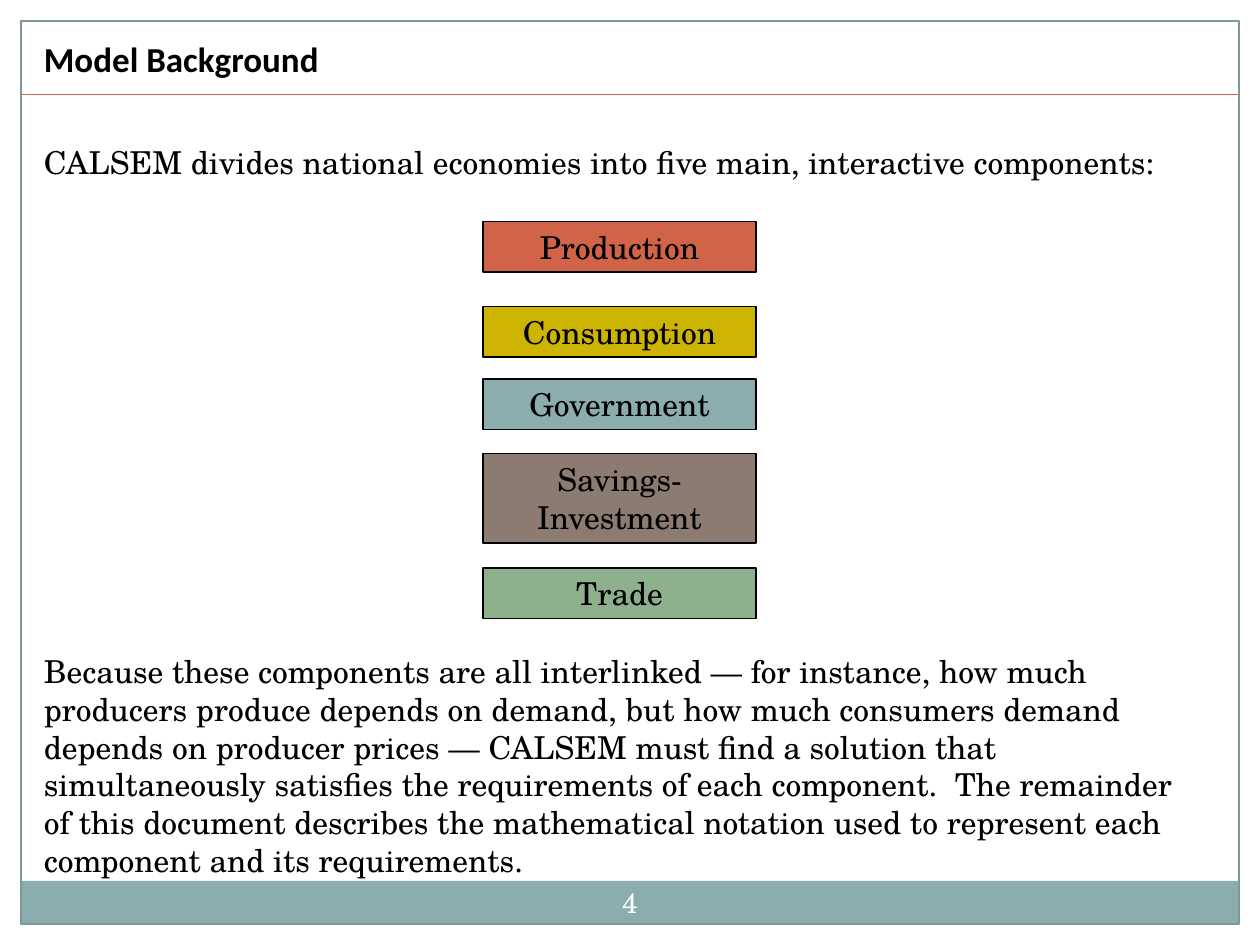
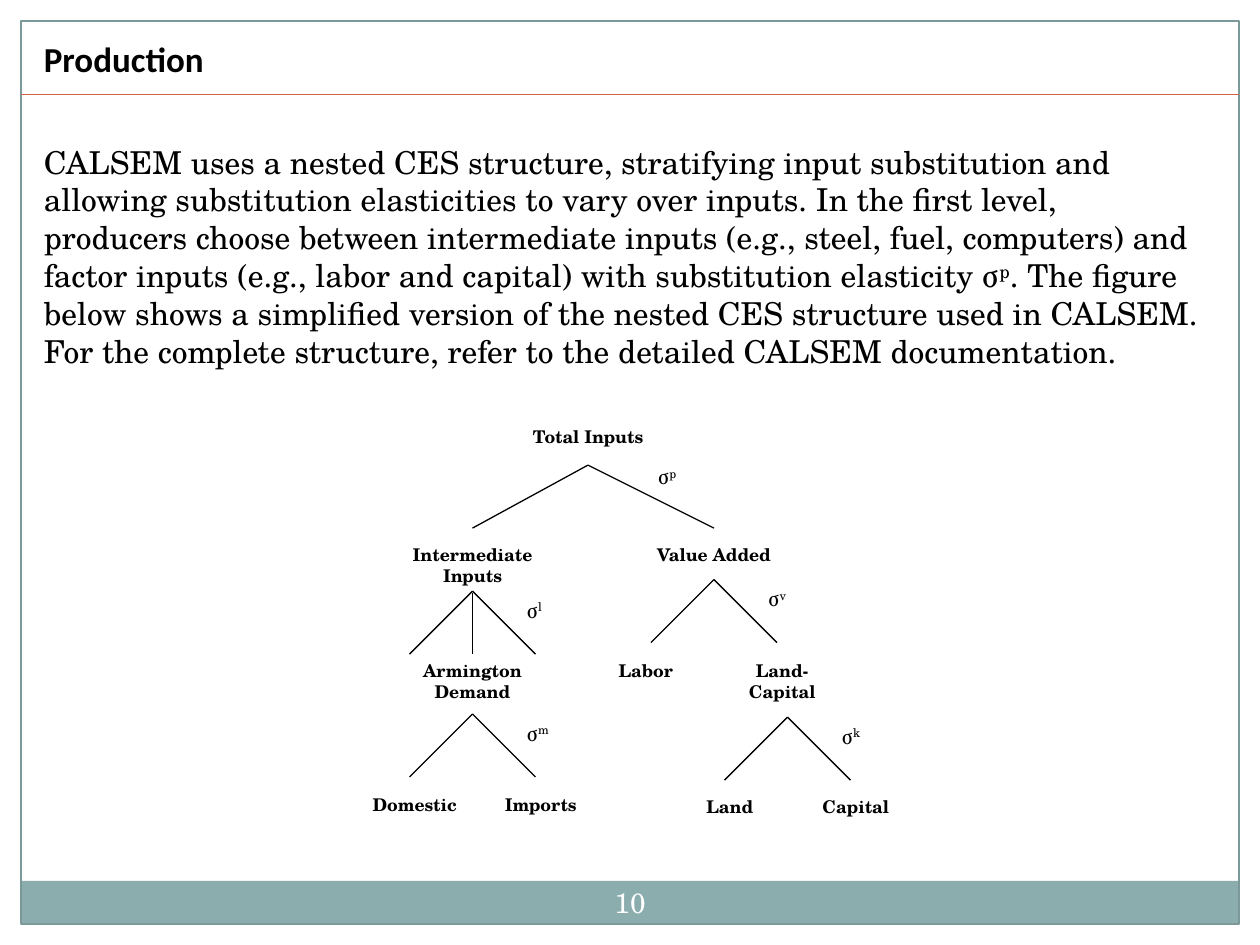
from pptx import Presentation, util as u
from pptx.dml.color import RGBColor
from pptx.enum import shapes, text
from pptx.oxml.ns import qn
from lxml import etree

BLACK = RGBColor(0x00, 0x00, 0x00)
WHITE = RGBColor(0xFF, 0xFF, 0xFF)
TEAL = RGBColor(0x8C, 0xAD, 0xAE)
EDGE = RGBColor(0x7C, 0x99, 0x9A)
RED = RGBColor(0xD1, 0x63, 0x49)
GOLD = RGBColor(0xCC, 0xB4, 0x00)
BROWN = RGBColor(0x8C, 0x7B, 0x70)
GREEN = RGBColor(0x8F, 0xB0, 0x8C)

SERIF = "TeX Gyre Schola"
HEAD = dict(name="Calibri", size=u.Pt(20), bold=True)
BODY = dict(name=SERIF, size=u.Pt(18))
NODE = dict(name=SERIF, size=u.Pt(10), bold=True)
SIGMA = dict(name=SERIF, size=u.Pt(12))
PAGE = dict(name=SERIF, size=u.Pt(16))
MID = text.PP_ALIGN.CENTER

INTRO = "CALSEM divides national economies into five main, interactive components:"
LINKS = (
    "Because these components are all interlinked — for instance, how much "
    "producers produce depends on demand, but how much consumers demand depends "
    "on producer prices — CALSEM must find a solution that simultaneously "
    "satisfies the requirements of each component.  The remainder of this "
    "document describes the mathematical notation used to represent each "
    "component and its requirements."
)
NEST = (
    "CALSEM uses a nested CES structure, stratifying input substitution and "
    "allowing substitution elasticities to vary over inputs. In the first level, "
    "producers choose between intermediate inputs (e.g., steel, fuel, computers) "
    "and factor inputs (e.g., labor and capital) with substitution elasticity "
    "σ^p^. The figure below shows a simplified version of the nested CES "
    "structure used in CALSEM. For the complete structure, refer to the detailed "
    "CALSEM documentation."
)
PARTS = [
    ("Production", RED, 21.1, 4.8),
    ("Consumption", GOLD, 29.2, 4.8),
    ("Government", TEAL, 36.1, 4.8),
    ("Savings-Investment", BROWN, 43.2, 8.5),
    ("Trade", GREEN, 54.1, 4.8),
]
NODES = [
    ("Total Inputs", 56, 40, 14, 3.2),
    ("Value Added", 68, 51.2, 14, 3.2),
    ("Intermediate Inputs", 45, 51.2, 14, 5.3),
    ("Labor", 61.5, 62.3, 9, 3.2),
    ("Land-Capital", 74.5, 62.3, 13, 5.3),
    ("Armington Demand", 45, 62.3, 14, 5.3),
    ("Land", 69.5, 75.2, 13, 3.2),
    ("Capital", 81.5, 75.2, 13, 3.2),
    ("Domestic", 39.5, 75, 13, 3.2),
    ("Imports", 51.5, 75, 13, 3.2),
]
FORKS = [
    ("p", 56, 44.3, (-11, 12), (5.5, -0.7)),
    ("v", 68, 55.2, (-6, 6), (4, 0)),
    ("k", 75, 68.3, (-6, 6), (4, 0)),
    ("l", 45, 56.3, (-6, 6), (4, 0)),
    ("m", 45, 68, (-6, 6), (4, 0)),
]


class Deck:
    """Slides on a grid of 120 columns by 90 rows, with one shared style."""

    def __init__(self):
        self.prs = Presentation()
        self.prs.slide_width, self.prs.slide_height = u.Inches(10), u.Inches(7.5)
        self.cell = self.prs.slide_width / 120
        self.slide = None

    def grid(self, *cells):
        return [round(c * self.cell) for c in cells]

    def fill_text(self, shape, words, form, color=BLACK, align=None):
        frame = shape.text_frame
        frame.word_wrap = True
        para = frame.paragraphs[0]
        para.alignment = align
        for i, part in enumerate(words.split("^")):
            if part:
                run = para.add_run()
                run.text = part
                for key, val in form.items():
                    setattr(run.font, key, val)
                run.font.color.rgb = color
                if i % 2:
                    run._r.get_or_add_rPr().set("baseline", "30000")

    def label(self, words, area, form, **look):
        box = self.slide.shapes.add_textbox(*self.grid(*area))
        self.fill_text(box, words, form, **look)
        return box

    def rect(self, area, fill=None, line=None, width=0.75):
        box = self.slide.shapes.add_shape(
            shapes.MSO_SHAPE.RECTANGLE, *self.grid(*area))
        box.shadow.inherit = False
        for part, color in ((box.fill, fill), (box.line.fill, line)):
            if color is None:
                part.background()
            else:
                part.solid()
                part.fore_color.rgb = color
        if line is not None:
            box.line.width = u.Pt(width)
        return box

    def line(self, ends, color=BLACK):
        link = self.slide.shapes.add_connector(
            shapes.MSO_CONNECTOR.STRAIGHT, *self.grid(*ends))
        link.line.color.rgb = color
        link.line.width = u.Pt(0.75)
        etree.SubElement(link._element.spPr, qn("a:effectLst"))
        return link

    def fork(self, mark, x, y, arms, shift):
        for arm in arms:
            self.line((x, y, x + arm, y + 6))
        self.label(f"σ^{mark}^", (x + shift[0], y + shift[1], 6, 3.6), SIGMA)

    def page(self, title, num):
        self.slide = self.prs.slides.add_slide(self.prs.slide_layouts[6])
        self.rect((2, 83.9, 116, 4.1), fill=TEAL)
        self.rect((2, 2, 116, 86), line=EDGE)
        self.line((2, 9, 118, 9), RED)
        self.label(title, (3, 3, 113, 5.3), HEAD)
        box = self.label(num, (56, 83, 8, 5.8), PAGE, color=WHITE, align=MID)
        box.text_frame.vertical_anchor = text.MSO_ANCHOR.MIDDLE


def main():
    deck = Deck()

    deck.page("Model Background", "4")
    deck.label(INTRO, (3, 13, 113, 4.8), BODY)
    for name, fill, top, high in PARTS:
        box = deck.rect((46, top, 26, high), fill, BLACK, 0.9)
        deck.fill_text(box, name, BODY, align=MID)
    deck.label(LINKS, (3, 61.5, 113, 19.5), BODY)

    deck.page("Production", "10")
    deck.label(NEST, (3, 13, 113, 23), BODY)
    nodes = {
        name: deck.label(name, (x - wide / 2, top, wide, high), NODE, align=MID)
        for name, x, top, wide, high in NODES
    }
    for fork in FORKS:
        deck.fork(*fork)
    stem = deck.line((45, 56.5, 45, 62.3))
    stem.begin_connect(nodes["Intermediate Inputs"], 2)
    stem.end_connect(nodes["Armington Demand"], 0)

    deck.prs.save("out.pptx")


if __name__ == "__main__":
    main()
